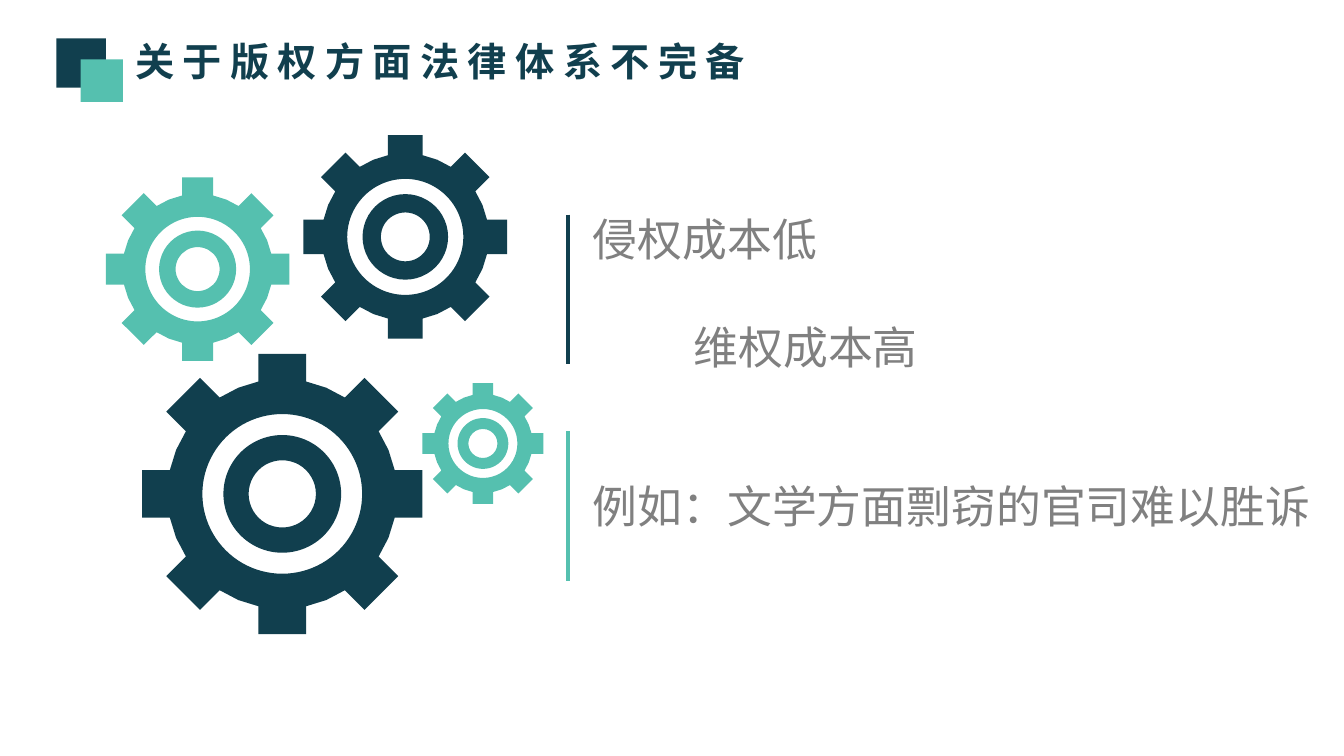
from dataclasses import dataclass
from math import asin, atan, cos, hypot, pi, sin

from lxml.etree import SubElement
from pptx import Presentation
from pptx.dml.color import RGBColor
from pptx.enum.shapes import MSO_CONNECTOR as Connector, MSO_SHAPE as Preset
from pptx.enum.text import MSO_ANCHOR as Anchor, MSO_AUTO_SIZE as AutoSize, PP_ALIGN as Align
from pptx.oxml.ns import qn
from pptx.util import Inches, Pt


@dataclass(frozen=True)
class Theme:
    navy: str = "113F4E"
    teal: str = "55C0AF"
    gray: str = "808080"
    font: str = "Noto Sans CJK SC"
    title_size: int = 28
    body_size: int = 32
    line_height: float = 1.2
    rule_width: int = 3


def write(paragraph, text, *, size, color, font, bold=False, spacing=0,
          indent=0, before=0, leading=1.2):
    paragraph.alignment = Align.LEFT
    paragraph.space_before = Pt(before)
    paragraph.space_after = Pt(0)
    paragraph.line_spacing = Pt(size * leading)
    properties = paragraph._p.get_or_add_pPr()
    properties.set("marL", str(Inches(indent)))
    properties.set("indent", "0")
    SubElement(properties, qn("a:buNone"))
    run = paragraph.add_run()
    run.text = text
    run.font.size = Pt(size)
    run.font.bold = bold
    run.font.name = font
    run.font.color.rgb = RGBColor.from_string(color)
    run_properties = run._r.get_or_add_rPr()
    run_properties.set("spc", str(spacing * 100))
    SubElement(run_properties, qn("a:ea")).set("typeface", font)


def polar(radius, angle):
    return radius * cos(angle), radius * sin(angle)


def gear_points(body=0.82, half_tooth=0.17, teeth=8):
    base_angle = asin(half_tooth / body)
    tip_angle = atan(half_tooth)
    tip_radius = hypot(1, half_tooth)
    points = []
    for tooth in range(teeth):
        middle = 2 * pi * tooth / teeth
        points += [polar(tip_radius, middle - tip_angle),
                   polar(tip_radius, middle + tip_angle),
                   polar(body, middle + base_angle),
                   polar(body, middle + pi / teeth),
                   polar(body, middle + 2 * pi / teeth - base_angle)]
    return points


def add_ring(outline, center_x, center_y, radius):
    start = SubElement(SubElement(outline, qn("a:moveTo")), qn("a:pt"))
    start.set("x", str(center_x + radius))
    start.set("y", str(center_y))
    arc = SubElement(outline, qn("a:arcTo"))
    for name, value in (("wR", radius), ("hR", radius),
                        ("stAng", 0), ("swAng", 360 * 60000)):
        arc.set(name, str(value))
    SubElement(outline, qn("a:close"))


class SlideBuilder:
    def __init__(self, slide, theme):
        self.slide = slide
        self.theme = theme

    def paint(self, shape, color):
        shape.shadow.inherit = False
        shape.fill.solid()
        shape.fill.fore_color.rgb = RGBColor.from_string(color)
        shape.line.fill.background()

    def square(self, left, top, side, color):
        shape = self.slide.shapes.add_shape(
            Preset.RECTANGLE, Inches(left), Inches(top), Inches(side), Inches(side))
        self.paint(shape, color)

    def rule(self, x, top, length, color):
        line = self.slide.shapes.add_connector(
            Connector.STRAIGHT, Inches(x), Inches(top), Inches(x), Inches(top + length))
        line.line.color.rgb = RGBColor.from_string(color)
        line.line.width = Pt(self.theme.rule_width)
        SubElement(line._element.spPr, qn("a:effectLst"))

    def gear(self, x, y, radius, color):
        points = [(Inches(x + radius * dx), Inches(y + radius * dy))
                  for dx, dy in gear_points()]
        outline_builder = self.slide.shapes.build_freeform(*points[0])
        outline_builder.add_line_segments(points[1:], close=True)
        shape = outline_builder.convert_to_shape()
        outline = next(shape._element.iter(qn("a:path")))
        for ring in (0.57, 0.42, 0.24):
            add_ring(outline, shape.width // 2, shape.height // 2, Inches(radius * ring))
        self.paint(shape, color)

    def frame(self, placeholder, left, top, width, height, wrap=True):
        placeholder.left, placeholder.top = Inches(left), Inches(top)
        placeholder.width, placeholder.height = Inches(width), Inches(height)
        frame = placeholder.text_frame
        frame.word_wrap = wrap
        frame.auto_size = AutoSize.NONE
        frame.vertical_anchor = Anchor.TOP
        return frame

    def title(self, text, *box):
        frame = self.frame(self.slide.shapes.title, *box, wrap=False)
        write(frame.paragraphs[0], text, size=self.theme.title_size,
              color=self.theme.navy, font=self.theme.font, bold=True, spacing=6,
              leading=self.theme.line_height)

    def body(self, index, lines, *box):
        frame = self.frame(self.slide.placeholders[index], *box)
        for number, (text, options) in enumerate(lines):
            paragraph = frame.add_paragraph() if number else frame.paragraphs[0]
            write(paragraph, text, size=self.theme.body_size, color=self.theme.gray,
                  font=self.theme.font, leading=self.theme.line_height, **options)


theme = Theme()
presentation = Presentation()
presentation.slide_width, presentation.slide_height = Inches(13.33), Inches(7.5)
slide = presentation.slides.add_slide(presentation.slide_layouts[3])
builder = SlideBuilder(slide, theme)

builder.title("关于版权方面法律体系不完备", 1.24, 0.32, 6.4, 0.57)
builder.square(0.56, 0.38, 0.49, theme.navy)
builder.square(0.8, 0.59, 0.42, theme.teal)

for top, color in ((2.13, theme.navy), (4.28, theme.teal)):
    builder.rule(5.63, top, 1.48, color)

blank_line = theme.body_size * theme.line_height
builder.body(1, [("侵权成本低", {}),
                 ("维权成本高", {"indent": 1, "before": blank_line})],
             5.78, 2.05, 3.89, 1.72)
builder.body(2, [("例如：文学方面剽窃的官司难以胜诉", {})], 5.78, 4.7, 7.4, 0.64)

for x, y, radius, color in ((4.02, 2.35, 1.01, theme.navy),
                            (2.8, 4.9, 1.39, theme.navy),
                            (1.96, 2.67, 0.91, theme.teal),
                            (4.79, 4.4, 0.6, theme.teal)):
    builder.gear(x, y, radius, color)

presentation.save("out.pptx")
